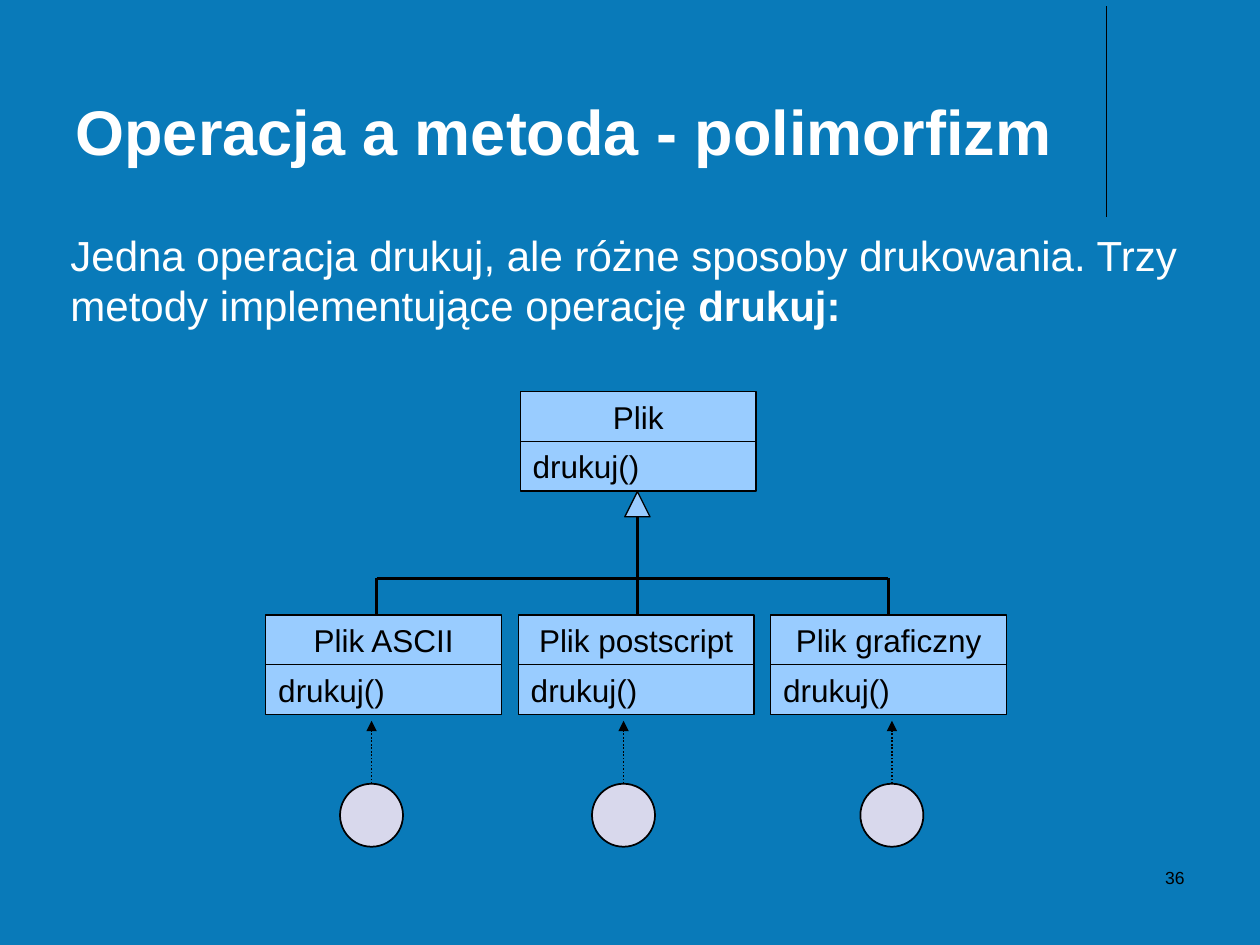
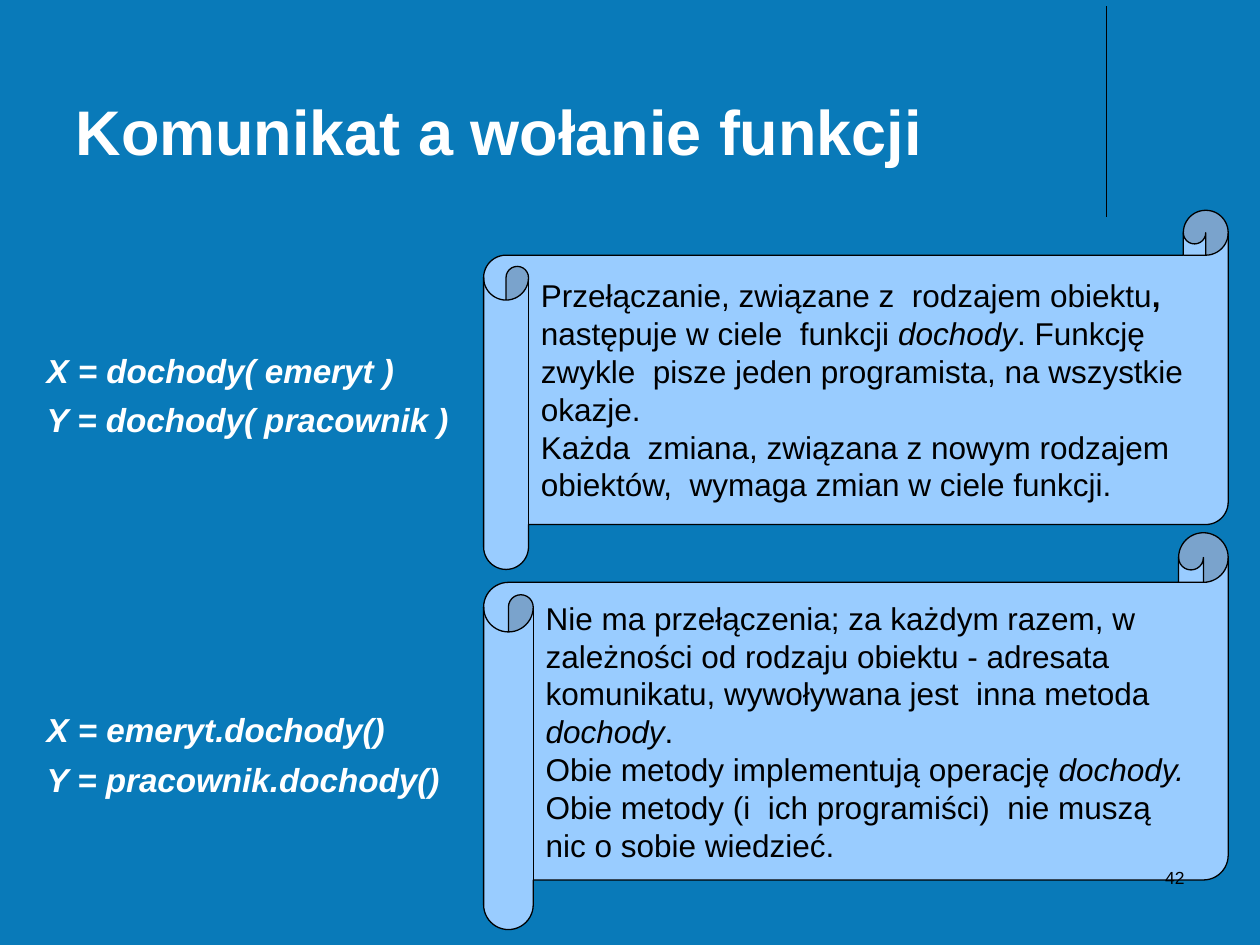
"""Build two slides on polymorphism and on messages versus function calls."""
from dataclasses import dataclass
from typing import NamedTuple

from pptx import Presentation
from pptx.dml.color import RGBColor
from pptx.enum.dml import MSO_LINE as Dash
from pptx.enum.shapes import MSO_CONNECTOR as Link, MSO_SHAPE as Form
from pptx.enum.text import MSO_ANCHOR as Anchor, MSO_AUTO_SIZE as Fit, PP_ALIGN as Align
from pptx.oxml.ns import qn
from pptx.util import Cm, Pt
from lxml.etree import SubElement

FONT = "Arial"
COLORS = {
    "background": "097AB9",
    "light": "FFFFFF",
    "ink": "000000",
    "panel": "99CCFF",
    "circle": "D8D8EC",
}


class Area(NamedTuple):
    left: float
    top: float
    width: float
    height: float


class Span(NamedTuple):
    text: str
    bold: bool = False
    italic: bool = False


@dataclass
class ClassBox:
    name: str
    left: float
    top: float
    operation: str = "drukuj()"


@dataclass
class Scroll:
    area: Area
    paras: list


TITLE_AREA = Area(1.27, 0.33, 20.96, 3.18)
NUMBER_AREA = Area(18.21, 17.35, 5.92, 1.27)
INTRO_AREA = Area(1.17, 4.5, 23.09, 3.05)
CALLS_AREA = Area(0.69, 6.93, 8.99, 9.47)

CLASS_WIDTH, ROW_HEIGHT = 4.75, 1.0
CHILD_LEFT, CHILD_STEP, CHILD_TOP = 5.36, 5.09, 12.4
PARENT = ClassBox("Plik", 10.49, 7.9)
CHILDREN = [
    ClassBox(name, CHILD_LEFT + index * CHILD_STEP, CHILD_TOP)
    for index, name in enumerate(["Plik ASCII", "Plik postscript", "Plik graficzny"])
]
BRANCH_XS, BRANCH_Y = (7.59, 17.91), 11.66
TRUNK_X, HEAD_TOP, HEAD_SIZE = 12.85, 9.91, 0.51
CIRCLE_XS, CIRCLE_TOP, CIRCLE_SIZE = (7.49, 12.57, 17.98), 15.8, 1.27

INTRO = [[
    Span("Jedna operacja drukuj, ale różne sposoby drukowania. "
         "Trzy metody implementujące operację"),
    Span(" drukuj:", bold=True),
]]
CALLS = [
    [Span(text, bold=True, italic=True)]
    for text in ("X = dochody( emeryt )", "Y = dochody( pracownik )",
                 "X = emeryt.dochody()", "Y = pracownik.dochody()")
]
CALL_GAPS = (0, 5.5, 154.5, 5.5)
SCROLLS = [
    Scroll(Area(9.75, 4.24, 15.01, 7.24), [
        [
            Span("Przełączanie, związane z  rodzajem obiektu"),
            Span(",", bold=True),
            Span(" następuje w ciele  funkcji "),
            Span("dochody", italic=True),
            Span(". Funkcję zwykle  pisze jeden programista, na wszystkie okazje."),
        ],
        [Span("Każda  zmiana, związana z nowym rodzajem obiektów,  "
              "wymaga zmian w ciele funkcji.")],
    ]),
    Scroll(Area(9.75, 10.74, 15.01, 8.0), [
        [
            Span("Nie ma przełączenia; za każdym razem, w zależności od rodzaju "
                 "obiektu - adresata komunikatu, wywoływana jest  inna metoda "),
            Span("dochody", italic=True),
            Span("."),
        ],
        [
            Span("Obie metody implementują operację "),
            Span("dochody. ", italic=True),
            Span("Obie metody (i  ich programiści)  nie muszą nic o sobie wiedzieć."),
        ],
    ]),
]


def color(name: str) -> RGBColor:
    return RGBColor.from_string(COLORS[name])


def write(box, paras: list, *, size: float, ink: str = "ink", align=Align.LEFT,
          anchor=Anchor.TOP, gaps: tuple = ()) -> None:
    frame = box.text_frame
    frame.word_wrap = True
    frame.auto_size = Fit.NONE
    frame.vertical_anchor = anchor
    for index, spans in enumerate(paras):
        para = frame.add_paragraph() if index else frame.paragraphs[0]
        para.alignment = align
        para.space_before = Pt(gaps[index] if gaps else 0)
        for span in spans:
            run = para.add_run()
            run.text = span.text
            run.font.name = FONT
            run.font.size = Pt(size)
            run.font.bold = span.bold
            run.font.italic = span.italic
            run.font.color.rgb = color(ink)


def add_text(page, area: Area, paras: list, **style) -> None:
    write(page.shapes.add_textbox(*map(Cm, area)), paras, **style)


def add_form(page, form, area: Area, *, fill: str = "panel", line: float = 0):
    shape = page.shapes.add_shape(form, *map(Cm, area))
    shape.shadow.inherit = False
    shape.fill.solid()
    shape.fill.fore_color.rgb = color(fill)
    shape.line.color.rgb = color("ink")
    shape.line.width = Pt(line)
    return shape


def add_line(page, start: tuple, end: tuple, *, width: float = 0, arrow: bool = False) -> None:
    line = page.shapes.add_connector(Link.STRAIGHT, *map(Cm, start + end))
    line.line.color.rgb = color("ink")
    line.line.width = Pt(width)
    if arrow:
        line.line.dash_style = Dash.ROUND_DOT
        SubElement(line.line._get_or_add_ln(), qn("a:tailEnd"), type="triangle")
    SubElement(line._element.spPr, qn("a:effectLst"))


def add_class(page, item: ClassBox) -> None:
    rows = ((item.name, Align.CENTER), (item.operation, Align.LEFT))
    for index, (text, align) in enumerate(rows):
        area = Area(item.left, item.top + index * ROW_HEIGHT, CLASS_WIDTH, ROW_HEIGHT)
        write(add_form(page, Form.RECTANGLE, area), [[Span(text)]],
              size=18, align=align, anchor=Anchor.MIDDLE)


def add_page(deck, title: str):
    page = deck.slides.add_slide(deck.slide_layouts.get_by_name("Title Only"))
    add_line(page, (22.3, 0.13), (22.3, 4.37), width=0.75)
    box = page.shapes.title
    box.left, box.top, box.width, box.height = map(Cm, TITLE_AREA)
    write(box, [[Span(title, bold=True)]], size=36, ink="light", anchor=Anchor.BOTTOM)
    return page


def add_number(page, number: int) -> None:
    add_text(page, NUMBER_AREA, [[Span(str(number))]], size=10, align=Align.RIGHT)


def build_polymorphism(deck) -> None:
    page = add_page(deck, "Operacja a metoda - polimorfizm")
    for center in CIRCLE_XS:
        area = Area(center - CIRCLE_SIZE / 2, CIRCLE_TOP, CIRCLE_SIZE, CIRCLE_SIZE)
        add_form(page, Form.OVAL, area, fill="circle", line=1)
        add_line(page, (center, CIRCLE_TOP), (center, CIRCLE_TOP - CIRCLE_SIZE),
                 width=1, arrow=True)
    for item in [PARENT, *CHILDREN]:
        add_class(page, item)
    for x in BRANCH_XS:
        add_line(page, (x, CHILD_TOP), (x, BRANCH_Y))
    add_line(page, (BRANCH_XS[0], BRANCH_Y), (BRANCH_XS[1], BRANCH_Y))
    add_line(page, (TRUNK_X, CHILD_TOP), (TRUNK_X, HEAD_TOP + HEAD_SIZE))
    add_form(page, Form.ISOSCELES_TRIANGLE,
             Area(TRUNK_X - HEAD_SIZE / 2, HEAD_TOP, HEAD_SIZE, HEAD_SIZE))
    add_text(page, INTRO_AREA, INTRO, size=24, ink="light")
    add_number(page, 36)


def build_messages(deck) -> None:
    page = add_page(deck, "Komunikat a wołanie funkcji")
    add_text(page, CALLS_AREA, CALLS, size=19, ink="light", gaps=CALL_GAPS)
    for scroll in SCROLLS:
        write(add_form(page, Form.HORIZONTAL_SCROLL, scroll.area), scroll.paras,
              size=18, anchor=Anchor.MIDDLE)
    add_number(page, 42)


def main() -> None:
    deck = Presentation()
    deck.slide_width, deck.slide_height = Cm(25.4), Cm(19.05)
    backdrop = deck.slide_master.background.fill
    backdrop.solid()
    backdrop.fore_color.rgb = color("background")
    build_polymorphism(deck)
    build_messages(deck)
    deck.save("out.pptx")


if __name__ == "__main__":
    main()
